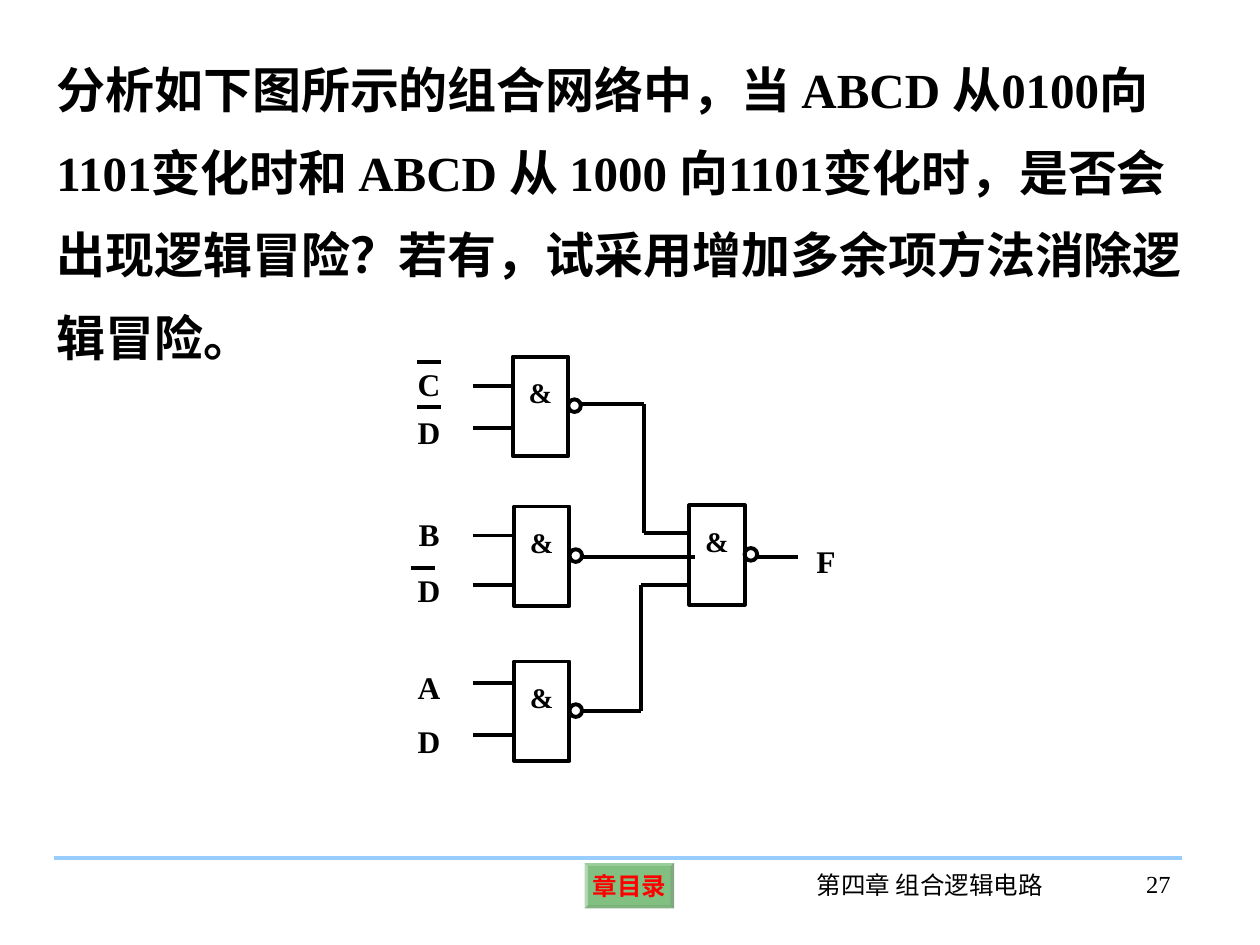
from lxml import etree
from pptx import Presentation
from pptx.dml.color import RGBColor
from pptx.enum.shapes import MSO_CONNECTOR, MSO_SHAPE
from pptx.enum.text import MSO_ANCHOR, PP_ALIGN
from pptx.oxml.ns import qn
from pptx.util import Inches, Pt

LEFT, CENTER, RIGHT = PP_ALIGN.LEFT, PP_ALIGN.CENTER, PP_ALIGN.RIGHT
TOP, MIDDLE = MSO_ANCHOR.TOP, MSO_ANCHOR.MIDDLE
RECTANGLE, OVAL, BEVEL = MSO_SHAPE.RECTANGLE, MSO_SHAPE.OVAL, MSO_SHAPE.BEVEL
STRAIGHT = MSO_CONNECTOR.STRAIGHT
COLORS = {"ink": "000000", "rule": "99CCFF", "button": "008000", "link": "FF0000"}
FONT = "Times New Roman"
STROKE = Pt(2.25)

# The slide is a grid of 100 columns by 75 rows
deck = Presentation()
deck.slide_width, deck.slide_height = Inches(10), Inches(7.5)
COLUMN, ROW = deck.slide_width / 100, deck.slide_height / 75
page = deck.slides.add_slide(deck.slide_layouts[6])


def write(text, column=0, row=0, width=0, height=0, shape=None, size=14, color="ink",
          bold=False, align=CENTER, anchor=TOP, wrap=True, leading=None, raised=None):
    """Write text into the given shape, or into a new text box on the grid."""
    box = shape or page.shapes.add_textbox(
        int(column * COLUMN), int(row * ROW), int(width * COLUMN), int(height * ROW))
    frame = box.text_frame
    frame.word_wrap, frame.vertical_anchor = wrap, anchor
    para = frame.paragraphs[0]
    para.alignment, para.line_spacing = align, leading
    span = para.add_run()
    span.text = text
    span.font.name, span.font.size, span.font.bold = FONT, Pt(size), bold
    span.font.color.rgb = RGBColor.from_string(COLORS[color])
    if raised:
        span.font._element.set("baseline", str(raised * 1000))


def draw_path(points, color="ink"):
    """Join the grid points one after another with straight lines."""
    for (x1, y1), (x2, y2) in zip(points, points[1:]):
        line = page.shapes.add_connector(
            STRAIGHT, int(x1 * COLUMN), int(y1 * ROW), int(x2 * COLUMN), int(y2 * ROW))
        line.line.width = STROKE
        line.line.color.rgb = RGBColor.from_string(COLORS[color])
        etree.SubElement(line._element.spPr, qn("a:effectLst"))


# Footer: button, rule, chapter title and page number
button = page.shapes.add_shape(
    BEVEL, int(46.4 * COLUMN), int(68.5 * ROW), int(7.1 * COLUMN), int(3.6 * ROW))
button.adjustments[0] = 0.07
button.shadow.inherit = False
button.fill.solid()
button.fill.fore_color.rgb = RGBColor.from_string(COLORS["button"])
tint = button._element.spPr.find(qn("a:solidFill"))[0]
etree.SubElement(tint, qn("a:alpha")).set("val", "49000")
button.line.fill.background()
write("章目录", shape=button, color="link", bold=True, anchor=MIDDLE, wrap=False)
draw_path([(4.3, 68.1), (93.8, 68.1)], color="rule")
write("第四章 组合逻辑电路", 62.4, 68.6, 22.8, 5)
write("27", 85.3, 68.5, 8.6, 5, align=RIGHT)

# Question
write("分析如下图所示的组合网络中，当 ABCD 从0100向1101变化时和 ABCD 从 1000 向1101变化时，"
      "是否会出现逻辑冒险？若有，试采用增加多余项方法消除逻辑冒险。",
      3.5, 2.4, 92, 27.2, size=28, bold=True, align=LEFT, leading=1.4)

# NAND gates, each with a bubble on its output side
GATE_WIDTH, GATE_HEIGHT, BUBBLE = 4.4, 7.9, 1
for column, row in [(40.7, 28.3), (40.8, 40.2), (40.8, 52.5), (54.7, 40.1)]:
    for kind, x, y, width, height in [
            (RECTANGLE, column, row, GATE_WIDTH, GATE_HEIGHT),
            (OVAL, column + GATE_WIDTH, row + 3.4, BUBBLE, BUBBLE)]:
        part = page.shapes.add_shape(
            kind, int(x * COLUMN), int(y * ROW), int(width * COLUMN), int(height * ROW))
        part.shadow.inherit = False
        part.fill.background()
        part.line.width = STROKE
        part.line.color.rgb = RGBColor.from_string(COLORS["ink"])
        if kind == RECTANGLE:
            write("&", shape=part, size=28, bold=True, anchor=MIDDLE, wrap=False, raised=50)

# Wires between the gates and to the output
draw_path([(46, 32.1), (51.1, 32.1), (51.1, 42.3), (54.8, 42.3)])
draw_path([(46, 44.2), (55.2, 44.2)])
draw_path([(46, 56.4), (50.9, 56.4), (50.9, 46.4), (54.6, 46.4)])
draw_path([(60.1, 44.2), (63.3, 44.2)])

# Input wires
for row in (30.6, 34, 42.5, 46.4, 54.2, 58.3):
    draw_path([(37.5, row), (40.7, row)])

# Signal names
for name, column, row in [("C", 31.6, 28.5), ("D", 31.6, 32.3), ("B", 31.6, 40.4),
                          ("D", 31.6, 44.8), ("A", 31.6, 52.5), ("D", 31.6, 56.8),
                          ("F", 63.1, 42.5)]:
    write(name, column, row, 4.9, 4, size=18, bold=True)

# Bars over the negated inputs
for column, row in [(33.1, 28.7), (33.1, 32.3), (32.6, 45.1)]:
    draw_path([(column, row), (column + 1.9, row)])

deck.save("out.pptx")
